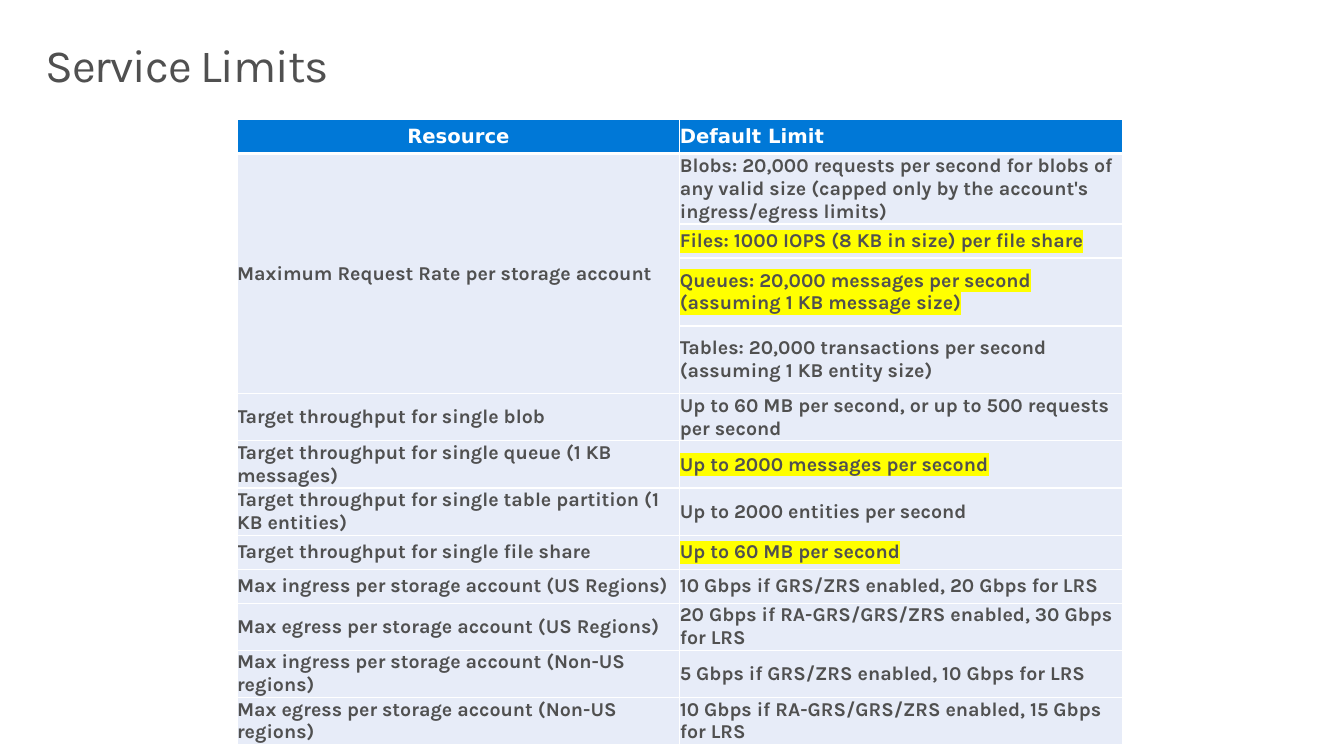
from lxml.etree import SubElement
from pptx import Presentation
from pptx.dml.color import RGBColor
from pptx.enum.text import MSO_ANCHOR as Anchor, PP_ALIGN as Align
from pptx.oxml import parse_xml
from pptx.oxml.ns import nsdecls, qn
from pptx.util import Pt

WHITE = RGBColor(0xFF, 0xFF, 0xFF)
GREY = RGBColor(0x50, 0x50, 0x50)
BLUE = RGBColor(0x00, 0x78, 0xD7)
PALE = RGBColor(0xE7, 0xEC, 0xF8)
YELLOW = RGBColor(0xFF, 0xFF, 0x00)

SINGLE, DOUBLE, MEDIUM = 24.3, 48.5, 32.4
LIMITS = [
    (SINGLE, "Resource", "Default Limit"),
    (DOUBLE, "Maximum Request Rate per storage account",
     "Blobs: 20,000 requests per second for blobs of any valid size "
     "(capped only by the account's ingress/egress limits)"),
    (SINGLE, "", "Files: 1000 IOPS (8 KB in size) per file share"),
    (DOUBLE, "", "Queues: 20,000 messages per second (assuming 1 KB message size)"),
    (DOUBLE, "", "Tables: 20,000 transactions per second (assuming 1 KB entity size)"),
    (MEDIUM, "Target throughput for single blob",
     "Up to 60 MB per second, or up to 500 requests per second"),
    (SINGLE, "Target throughput for single queue (1 KB messages)",
     "Up to 2000 messages per second"),
    (SINGLE, "Target throughput for single table partition (1 KB entities)",
     "Up to 2000 entities per second"),
    (SINGLE, "Target throughput for single file share", "Up to 60 MB per second"),
    (SINGLE, "Max ingress per storage account (US Regions)",
     "10 Gbps if GRS/ZRS enabled, 20 Gbps for LRS"),
    (SINGLE, "Max egress per storage account (US Regions)",
     "20 Gbps if RA-GRS/GRS/ZRS enabled, 30 Gbps for LRS"),
    (SINGLE, "Max ingress per storage account (Non-US regions)",
     "5 Gbps if GRS/ZRS enabled, 10 Gbps for LRS"),
    (SINGLE, "Max egress per storage account (Non-US regions)",
     "10 Gbps if RA-GRS/GRS/ZRS enabled, 15 Gbps for LRS"),
]
HIGHLIGHTED_ROWS = {2, 3, 6, 8}


def add_text(paragraph, text, size, font_name, color):
    run = paragraph.add_run()
    run.text = text
    run.font.size = Pt(size)
    run.font.name = font_name
    run.font.color.rgb = color
    return run


def set_borders(cell, bottom_width):
    properties = cell._tc.get_or_add_tcPr()
    widths = {"lnL": 1, "lnR": 1, "lnT": 1, "lnB": bottom_width}
    for index, (side, width) in enumerate(widths.items()):
        properties.insert(index, parse_xml(
            f'<a:{side} {nsdecls("a")} w="{Pt(width)}"><a:solidFill>'
            f'<a:srgbClr val="{WHITE}"/></a:solidFill></a:{side}>'))


deck = Presentation()
deck.slide_width, deck.slide_height = Pt(960), Pt(540)
slide = deck.slides.add_slide(deck.slide_layouts[6])

title = slide.shapes.add_textbox(Pt(21), Pt(23), Pt(918), Pt(70.5)).text_frame
title.word_wrap = True
title.margin_left = title.margin_right = Pt(11.5)
title.margin_top = title.margin_bottom = Pt(7.2)
title.paragraphs[0].line_spacing = 0.9
heading = add_text(title.paragraphs[0], "Service Limits", 33, "Karla", GREY)
heading.font._element.set("spc", "-80")

limits = slide.shapes.add_table(len(LIMITS), 2, Pt(169.3), Pt(85.3), Pt(632.6), Pt(419)).table
for column in limits.columns:
    column.width = Pt(316.3)

for row, (height, *texts) in enumerate(LIMITS):
    limits.rows[row].height = Pt(height)
    is_header = row == 0
    for column, text in enumerate(texts):
        cell = limits.cell(row, column)
        cell.margin_left = cell.margin_right = cell.margin_top = cell.margin_bottom = 0
        cell.vertical_anchor = Anchor.MIDDLE
        cell.fill.solid()
        cell.fill.fore_color.rgb = BLUE if is_header else PALE
        set_borders(cell, 3 if is_header else 1)
        if not text:
            continue
        paragraph = cell.text_frame.paragraphs[0]
        paragraph.alignment = Align.CENTER if is_header and column == 0 else Align.LEFT
        run = add_text(paragraph, text, 14, "DejaVu Sans" if is_header else "Karla",
                       WHITE if is_header else GREY)
        run.font.bold = True
        if column == 1 and row in HIGHLIGHTED_ROWS:
            run_properties = run.font._element
            highlight = SubElement(run_properties, qn("a:highlight"))
            SubElement(highlight, qn("a:srgbClr")).set("val", str(YELLOW))
            run_properties.find(qn("a:latin")).addprevious(highlight)

limits.cell(1, 0).merge(limits.cell(4, 0))

deck.save("out.pptx")
